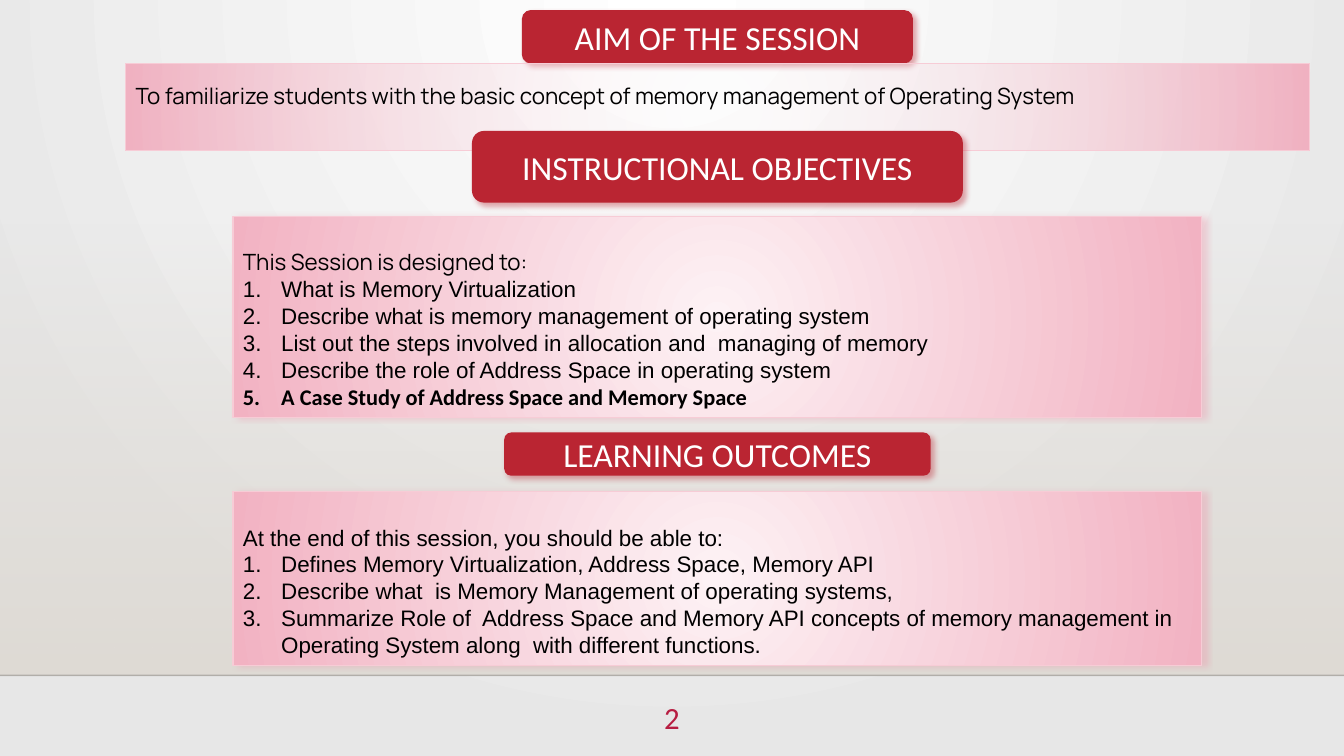
"""Build the session overview slide: aim, objectives and outcomes."""
from lxml import etree
from pptx import Presentation, util as u
from pptx.dml.color import RGBColor
from pptx.enum import shapes, text
from pptx.oxml import ns

RED = RGBColor(0xBA, 0x25, 0x32)
CRIMSON = RGBColor(0xB7, 0x1E, 0x42)
PALE_PINK = RGBColor(0xFD, 0xF2, 0xF5)
PINK = RGBColor(0xF2, 0xB2, 0xC2)
PINK_EDGE = RGBColor(0xF7, 0xCC, 0xD6)
PINK_SHADOW = RGBColor(0xEE, 0x99, 0xAD)
SAND = RGBColor(0xDF, 0xDB, 0xD5)
GREY = RGBColor(0xE7, 0xE7, 0xE7)
WHITE = RGBColor(0xFF, 0xFF, 0xFF)
BLACK = RGBColor(0, 0, 0)

WIDTH, HEIGHT = u.Inches(13.333), u.Inches(7.5)
AXIS = 53.38
FLOOR = 89.33
PAGE_NUMBER = "2"

# Tops, widths and heights are percentages of the slide.
SECTIONS = [
    {
        "heading": ("AIM OF THE SESSION", 1.33, 29.1, 7.07),
        "panel": (8.4, 88.05, 11.47),
        "intro": ("To familiarize students with the basic concept of memory "
                  "management of Operating System", "Manrope", 1.5),
        "items": [],
        "raised": False,
    },
    {
        "heading": ("INSTRUCTIONAL OBJECTIVES", 17.33, 36.52, 9.47),
        "panel": (28.67, 72.08, 26.53),
        "intro": ("This Session is designed to:", "Manrope", 2.0),
        "items": [
            ("What is Memory Virtualization", "Arial", False),
            ("Describe what is memory management of operating system", "Arial", False),
            ("List out the steps involved in allocation and  managing of memory", "Arial", False),
            ("Describe the role of Address Space in operating system", "Arial", False),
            ("A Case Study of Address Space and Memory Space", "Calibri", True),
        ],
        "raised": True,
    },
    {
        "heading": ("LEARNING OUTCOMES", 57.2, 31.73, 5.73),
        "panel": (65.07, 72.08, 22.93),
        "intro": ("At the end of this session, you should be able to:", "Arial", 2.0),
        "items": [
            ("Defines Memory Virtualization, Address Space, Memory API", "Arial", False),
            ("Describe what  is Memory Management of operating systems,", "Arial", False),
            ("Summarize Role of  Address Space and Memory API concepts of memory "
             "management in Operating System along  with different functions.", "Arial", False),
        ],
        "raised": True,
    },
]


def across(share):
    return round(WIDTH * share / 100)


def down(share):
    return round(HEIGHT * share / 100)


def add_node(parent, tag, **attributes):
    node = etree.SubElement(parent, ns.qn(tag))
    for name, value in attributes.items():
        node.set(name, str(value))
    return node


def add_color(parent, color, opacity=100):
    node = add_node(parent, "a:srgbClr", val=color)
    if opacity < 100:
        add_node(node, "a:alpha", val=opacity * 1000)


def set_gradient(fill, properties, stops, focus=None):
    fill.solid()
    solid = properties.find(ns.qn("a:solidFill"))
    gradient = etree.Element(ns.qn("a:gradFill"), rotWithShape="1")
    stop_list = add_node(gradient, "a:gsLst")
    for position, color, opacity in stops:
        add_color(add_node(stop_list, "a:gs", pos=position * 1000), color, opacity)
    if focus:
        circle = add_node(gradient, "a:path", path="circle")
        sides = {side: share * 1000 for side, share in zip("ltrb", focus)}
        add_node(circle, "a:fillToRect", **sides)
    else:
        add_node(gradient, "a:lin", ang=90 * 60000, scaled=0)
    properties.replace(solid, gradient)


def add_shadow(shape, color, angle):
    effects = shape._element.spPr.find(ns.qn("a:effectLst"))
    shadow = add_node(effects, "a:outerShdw", blurRad=u.Pt(4), dist=u.Pt(3),
                      dir=angle * 60000, algn="tl", rotWithShape=0)
    add_color(shadow, color, 40)


def add_box(slide, kind, top, width, height, center=AXIS):
    shape = slide.shapes.add_shape(kind, across(center - width / 2), down(top),
                                   across(width), down(height))
    shape.shadow.inherit = False
    shape.line.fill.background()
    return shape


def add_text(paragraph, words, size, font, color, bold=False):
    run = paragraph.add_run()
    run.text = words
    run.font.size, run.font.name, run.font.bold = u.Pt(size), font, bold
    run.font.color.rgb = color


def add_heading(slide, words, top, width, height):
    shape = add_box(slide, shapes.MSO_SHAPE.ROUNDED_RECTANGLE, top, width, height)
    shape.fill.solid()
    shape.fill.fore_color.rgb = RED
    add_shadow(shape, RED, 45)
    shape.text_frame.vertical_anchor = text.MSO_ANCHOR.MIDDLE
    paragraph = shape.text_frame.paragraphs[0]
    paragraph.alignment = text.PP_ALIGN.CENTER
    add_text(paragraph, words, 24, "Calibri", WHITE)


def add_panel(slide, section):
    shape = add_box(slide, shapes.MSO_SHAPE.RECTANGLE, *section["panel"])
    center_opacity = 100 if section["raised"] else 0
    set_gradient(shape.fill, shape._element.spPr,
                 [(0, PALE_PINK, center_opacity), (100, PINK, 100)], (50, 50, 50, 50))
    shape.line.color.rgb = PINK_EDGE
    shape.line.width = u.Pt(0.75)
    if section["raised"]:
        add_shadow(shape, PINK_SHADOW, 0)
    frame = shape.text_frame
    frame.word_wrap = True
    frame.auto_size = text.MSO_AUTO_SIZE.SHAPE_TO_FIT_TEXT
    frame.vertical_anchor = text.MSO_ANCHOR.TOP
    words, font, spacing = section["intro"]
    paragraph = frame.paragraphs[0]
    paragraph.alignment = text.PP_ALIGN.LEFT
    paragraph.line_spacing = spacing
    add_text(paragraph, words, 16, font, BLACK)
    for words, font, bold in section["items"]:
        paragraph = frame.add_paragraph()
        paragraph.alignment = text.PP_ALIGN.LEFT
        properties = paragraph._p.get_or_add_pPr()
        indent = u.Inches(0.38)
        properties.set("marL", str(indent))
        properties.set("indent", str(-indent))
        add_node(properties, "a:buFont", typeface="+mj-lt")
        add_node(properties, "a:buAutoNum", type="arabicPeriod")
        add_text(paragraph, words, 16, font, BLACK, bold)


def add_backdrop(slide):
    fill = slide.background.fill
    set_gradient(fill, slide._element.cSld.bg.bgPr,
                 [(0, WHITE, 100), (100, GREY, 100)], (43, 0, 43, 100))
    haze_top = 29.47
    haze = add_box(slide, shapes.MSO_SHAPE.RECTANGLE, haze_top, 100, FLOOR - haze_top, 50)
    set_gradient(haze.fill, haze._element.spPr, [(0, SAND, 0), (100, SAND, 100)])
    rule = slide.shapes.add_connector(shapes.MSO_CONNECTOR.STRAIGHT,
                                      0, down(FLOOR), WIDTH, down(FLOOR))
    rule.line.color.rgb = BLACK
    rule.line.width = u.Pt(1)
    properties = rule._element.spPr
    add_node(properties.find(".//" + ns.qn("a:srgbClr")), "a:alpha", val=20000)
    add_node(properties, "a:effectLst")


def add_page_number(slide):
    width = 6.68
    box = slide.shapes.add_textbox(across(50 - width / 2), down(91.73),
                                   across(width), down(7.33))
    box.text_frame.word_wrap = True
    paragraph = box.text_frame.paragraphs[0]
    paragraph.alignment = text.PP_ALIGN.CENTER
    add_text(paragraph, PAGE_NUMBER, 22, "Calibri", CRIMSON)


def main():
    presentation = Presentation()
    presentation.slide_width, presentation.slide_height = WIDTH, HEIGHT
    slide = presentation.slides.add_slide(presentation.slide_layouts[6])
    add_backdrop(slide)
    add_page_number(slide)
    for section in SECTIONS:
        add_heading(slide, *section["heading"])
        add_panel(slide, section)
    presentation.save("out.pptx")


if __name__ == "__main__":
    main()
